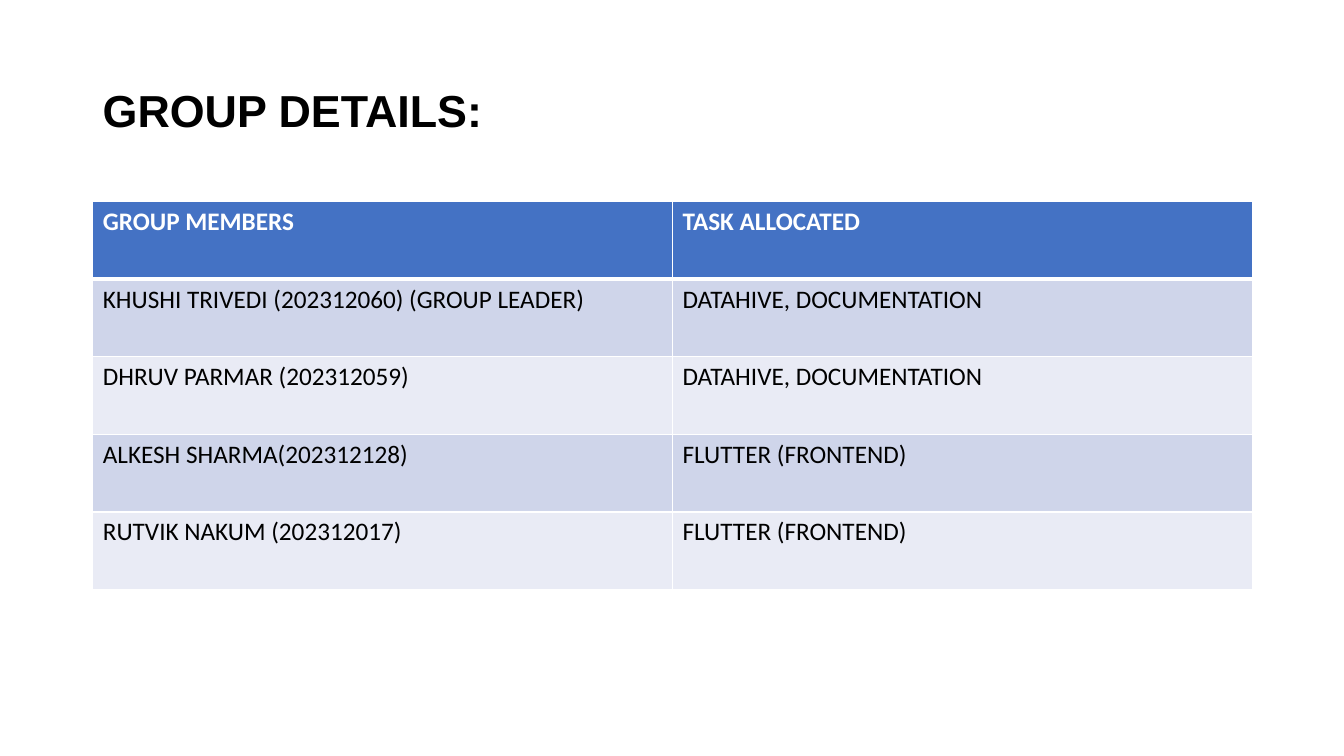
from lxml import etree
from pptx import Presentation
from pptx.dml.color import RGBColor
from pptx.enum.text import MSO_ANCHOR
from pptx.oxml.ns import qn
from pptx.util import Inches, Pt

MIDDLE = MSO_ANCHOR.MIDDLE

BLACK = RGBColor(0x00, 0x00, 0x00)
WHITE = RGBColor(0xFF, 0xFF, 0xFF)
BLUE = RGBColor(0x44, 0x72, 0xC4)
BANDS = (RGBColor(0xE9, 0xEB, 0xF5), RGBColor(0xCF, 0xD5, 0xEA))

WIDTH, HEIGHT = Inches(13.33), Inches(7.5)
LEFT, SPAN = Inches(0.92), Inches(11.5)
ROW = Inches(0.77)

ROWS = (
    ("GROUP MEMBERS", "TASK ALLOCATED"),
    ("KHUSHI TRIVEDI (202312060) (GROUP LEADER)", "DATAHIVE, DOCUMENTATION"),
    ("DHRUV PARMAR (202312059)", "DATAHIVE, DOCUMENTATION"),
    ("ALKESH SHARMA(202312128)", "FLUTTER (FRONTEND)"),
    ("RUTVIK NAKUM (202312017)", "FLUTTER (FRONTEND)"),
)


def write(frame, text, font, size, color, bold):
    frame.text = text
    style = frame.paragraphs[0].runs[0].font
    style.name, style.size, style.bold = font, Pt(size), bold
    style.color.rgb = color


def add_title(slide, text):
    box = slide.shapes.add_textbox(LEFT, Inches(0.4), SPAN, Inches(1.45))
    frame = box.text_frame
    frame.word_wrap = True
    frame.vertical_anchor = MIDDLE
    write(frame, text, "Arial", 32, BLACK, True)
    frame.paragraphs[0].line_spacing = 0.9


def set_edges(cell, top, bottom):
    """Draw white cell borders; top and bottom are widths in points."""
    props = cell._tc.get_or_add_tcPr()
    for side, width in (("L", 1), ("R", 1), ("T", top), ("B", bottom)):
        line = etree.SubElement(props, qn(f"a:ln{side}"), w=str(Pt(width)))
        fill = etree.SubElement(line, qn("a:solidFill"))
        etree.SubElement(fill, qn("a:srgbClr"), val=str(WHITE))


def add_grid(slide, rows):
    count = len(rows)
    frame = slide.shapes.add_table(
        count, len(rows[0]), LEFT, Inches(2), SPAN, ROW * count)
    table = frame.table
    for r, texts in enumerate(rows):
        head = r == 0
        for c, text in enumerate(texts):
            cell = table.cell(r, c)
            set_edges(cell, 3 if r == 1 else 1, 3 if head else 1)
            cell.fill.solid()
            cell.fill.fore_color.rgb = BLUE if head else BANDS[r % 2]
            write(cell.text_frame, text, "Calibri", 18,
                  WHITE if head else BLACK, head)


def main():
    deck = Presentation()
    deck.slide_width, deck.slide_height = WIDTH, HEIGHT
    slide = deck.slides.add_slide(deck.slide_layouts[6])
    add_title(slide, "GROUP DETAILS:")
    add_grid(slide, ROWS)
    deck.save("out.pptx")


if __name__ == "__main__":
    main()
